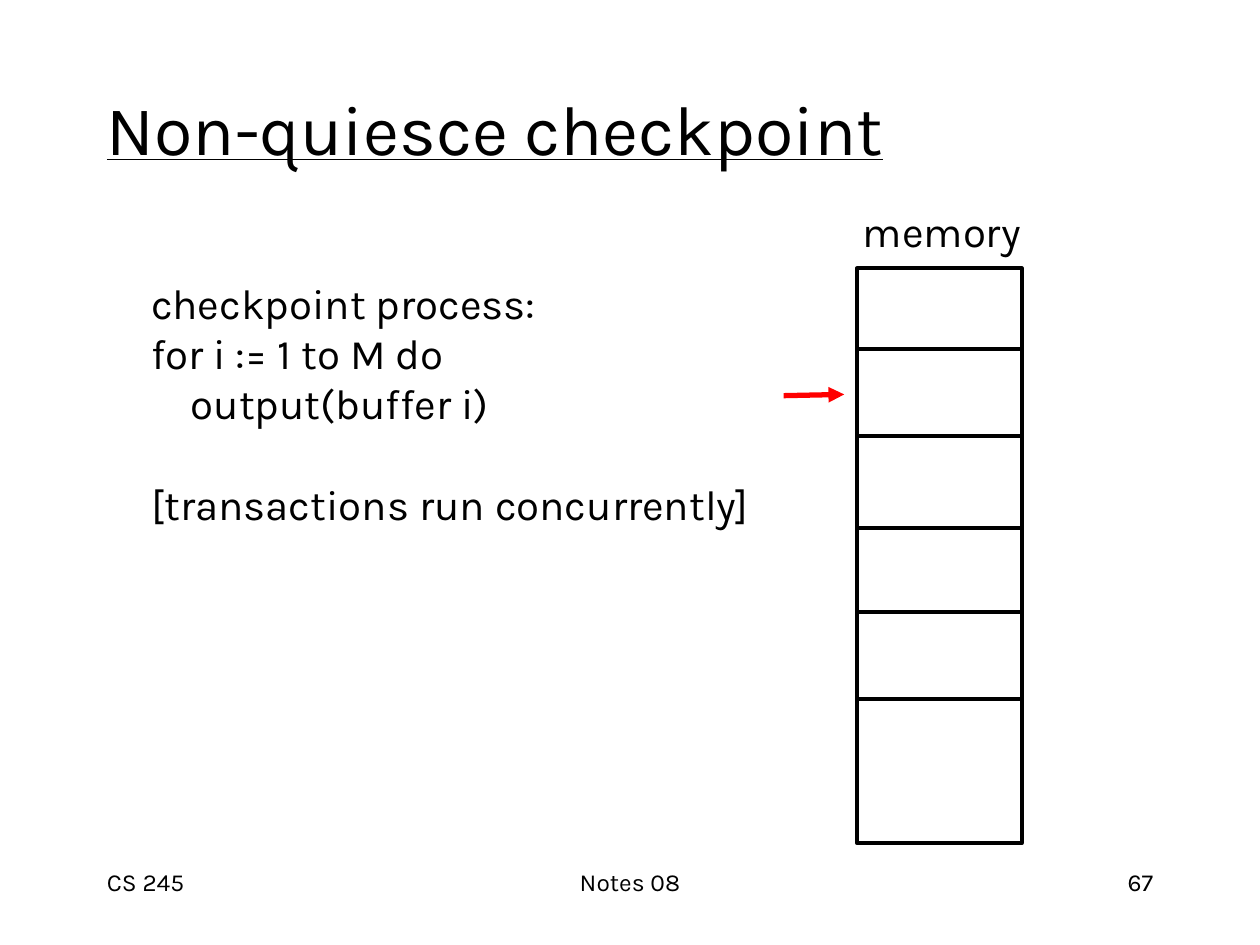
import pptx
import pptx.util
import pptx.dml.color
import pptx.enum.shapes
import pptx.enum.text
import pptx.oxml.ns
import lxml.etree

Pt = pptx.util.Pt
ALIGN = pptx.enum.text.PP_ALIGN
ANCHOR = pptx.enum.text.MSO_ANCHOR
BLACK = pptx.dml.color.RGBColor(0, 0, 0)
WHITE = pptx.dml.color.RGBColor(255, 255, 255)
RED = pptx.dml.color.RGBColor(255, 0, 0)
FONT = "Karla"

TITLE = ["Non-quiesce checkpoint"]
PROCESS = [
    "checkpoint process:",
    "for i := 1 to M do",
    "    output(buffer i)",
    "[transactions run concurrently]",
]
NOTE_GAP = 28.5
TEXTS = [
    (TITLE, (54, 48.24, 612, 48.96), ALIGN.LEFT, ANCHOR.MIDDLE, {"size": Pt(40), "underline": True}),
    (["CS 245"], (54, 492, 150, 36), ALIGN.LEFT, ANCHOR.TOP, {"size": Pt(14)}),
    (["Notes 08"], (246, 492, 228, 36), ALIGN.CENTER, ANCHOR.TOP, {"size": Pt(14)}),
    (["67"], (516, 492, 150, 36), ALIGN.RIGHT, ANCHOR.TOP, {"size": Pt(14)}),
    (["memory"], (486, 113.8, 109.4, 36), ALIGN.LEFT, ANCHOR.TOP, {"size": Pt(24)}),
    (PROCESS, (79.2, 154.8, 363.6, 151.2), ALIGN.LEFT, ANCHOR.TOP, {"size": Pt(24)}),
]
MEMORY = (489.6, 153.4, 94.3, 328.3)
BUFFER_HEIGHTS = [46, 49.7, 52.6, 48.2, 49.7]
POINTER = (447.8, 226.1, 482.4, 225.4)


def add_text(slide, lines, place, align, anchor, style):
    box = slide.shapes.add_textbox(*map(Pt, place))
    frame = box.text_frame
    frame.word_wrap = True
    frame.vertical_anchor = anchor
    for index, line in enumerate(lines):
        para = frame.paragraphs[0] if index == 0 else frame.add_paragraph()
        para.alignment = align
        span = para.add_run()
        span.text = line
        for name, value in {"name": FONT, **style}.items():
            setattr(span.font, name, value)
        span.font.color.rgb = BLACK
    if len(lines) > 1:
        para.space_before = Pt(NOTE_GAP)


def add_line(slide, ends, color, width):
    line = slide.shapes.add_connector(pptx.enum.shapes.MSO_CONNECTOR.STRAIGHT, *map(Pt, ends))
    line.line.color.rgb = color
    line.line.width = Pt(width)
    lxml.etree.SubElement(line._element.spPr, pptx.oxml.ns.qn("a:effectLst"))
    return line


def add_memory(slide):
    left, top, width, height = MEMORY
    memory = slide.shapes.add_shape(pptx.enum.shapes.MSO_SHAPE.RECTANGLE, *map(Pt, MEMORY))
    memory.shadow.inherit = False
    memory.fill.solid()
    memory.fill.fore_color.rgb = WHITE
    memory.line.color.rgb = BLACK
    memory.line.width = Pt(2.25)
    edge = top
    for buffer_height in BUFFER_HEIGHTS:
        edge += buffer_height
        add_line(slide, (left, edge, left + width, edge), BLACK, 2.25)


def main():
    deck = pptx.Presentation()
    deck.slide_width, deck.slide_height = Pt(720), Pt(540)
    page = deck.slides.add_slide(deck.slide_layouts[6])
    add_memory(page)
    pointer = add_line(page, POINTER, RED, 3)
    lxml.etree.SubElement(pointer.line._get_or_add_ln(), pptx.oxml.ns.qn("a:tailEnd"), type="triangle")
    for text in TEXTS:
        add_text(page, *text)
    deck.save("out.pptx")


if __name__ == "__main__":
    main()
